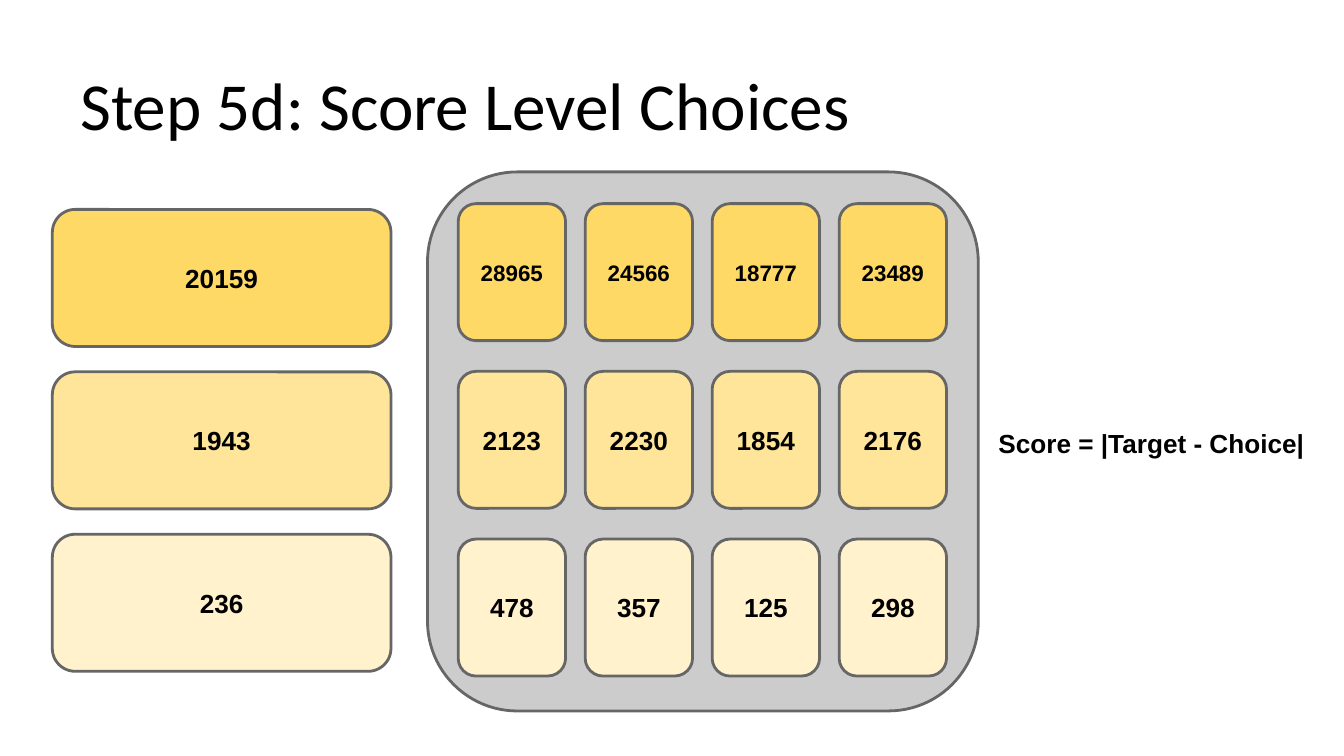
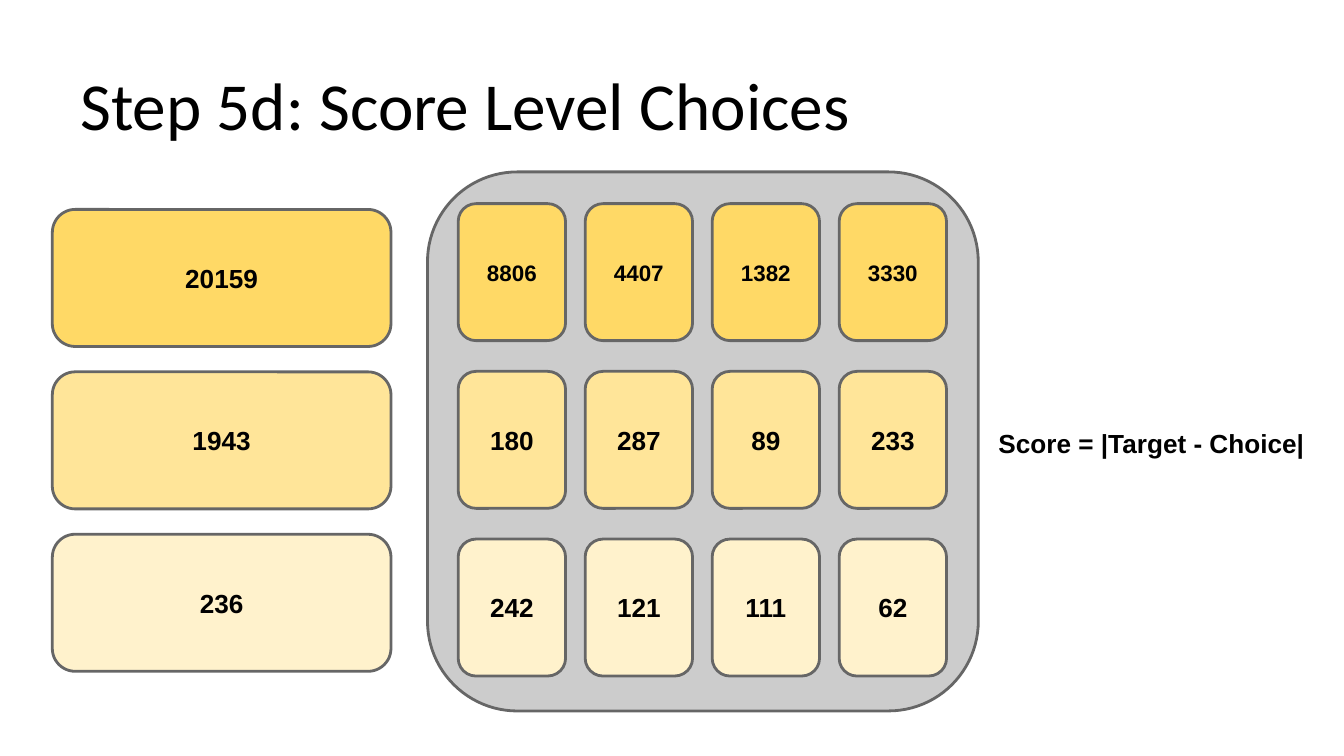
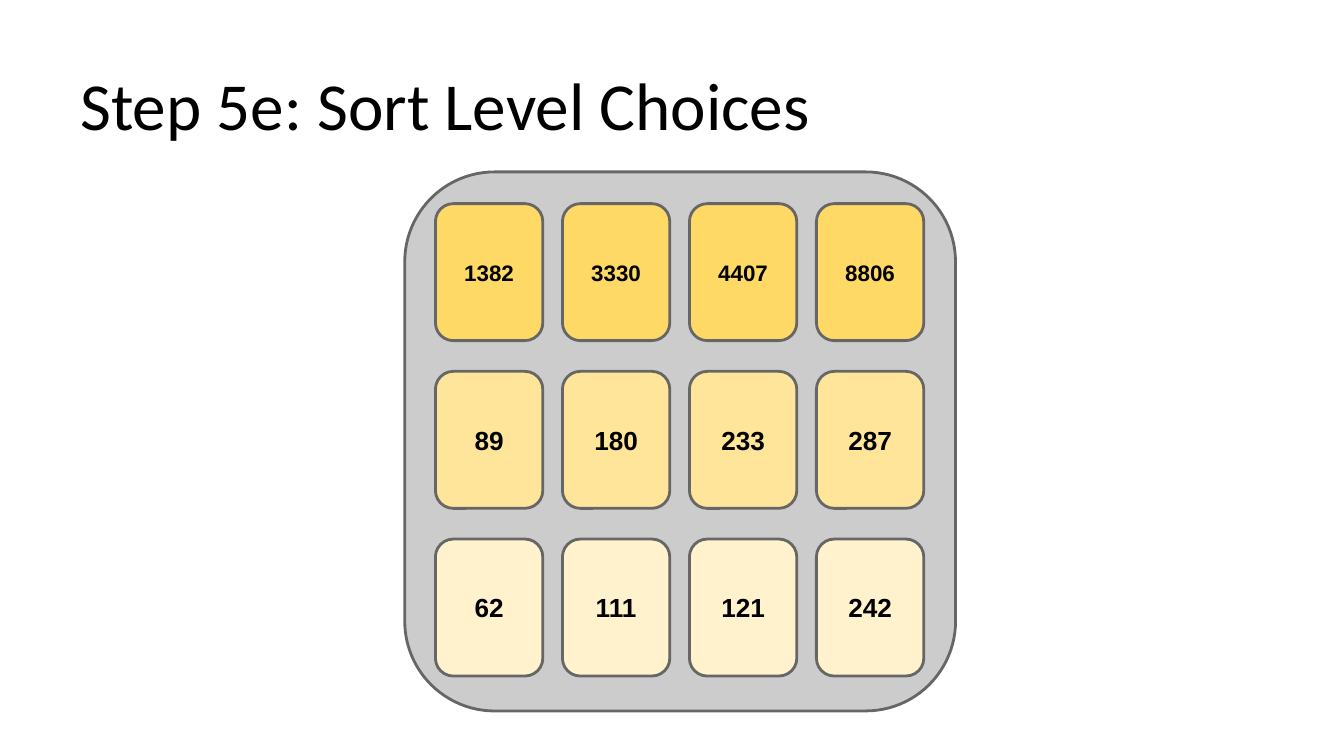
from pptx import Presentation
from pptx.dml.color import RGBColor
from pptx.enum.shapes import MSO_SHAPE as Shape
from pptx.enum.text import MSO_ANCHOR as Anchor, PP_ALIGN as Align
from pptx.util import Cm, Pt

BLACK, OUTLINE, PANEL_GREY = "000000", "666666", "CCCCCC"
LEVEL_COLOURS = ["FFD966", "FFE599", "FFF2CC"]
CHOICE_SIZES = [12, 14, 14]

TARGETS = [20159, 1943, 236]
CHOICES = [
    [28965, 24566, 18777, 23489],
    [2123, 2230, 1854, 2176],
    [478, 357, 125, 298],
]

# Lengths in centimetres
INSET = 0.25
PANEL_TOP, PANEL_WIDTH, PANEL_HEIGHT = 3.25, 10.41, 10.19
PANEL_BESIDE_TARGETS, PANEL_ALONE = 8.08, 7.65
LEVEL_HEIGHT = 2.59
CHOICE_WIDTH, CHOICE_INDENT, CHOICE_TOP = 2.03, 0.58, 3.85
CHOICE_STEP_X, CHOICE_STEP_Y = 2.4, 3.17
TARGET_LEFT, TARGET_TOP, TARGET_WIDTH, TARGET_STEP = 0.99, 3.96, 6.4, 3.07


def colour(hex_string):
    return RGBColor.from_string(hex_string)


def write(shape, text, size, font="Arial", bold=True, align=Align.LEFT, anchor=Anchor.TOP):
    frame = shape.text_frame
    frame.word_wrap = True
    frame.vertical_anchor = anchor
    frame.margin_left = frame.margin_right = Cm(INSET)
    frame.margin_top = frame.margin_bottom = Cm(INSET)
    paragraph = frame.paragraphs[0]
    paragraph.text = text
    paragraph.alignment = align
    paragraph.font.name = font
    paragraph.font.size = Pt(size)
    paragraph.font.bold = bold
    paragraph.font.color.rgb = colour(BLACK)


def add_label(slide, text, left, top, width, height, size, **style):
    box = slide.shapes.add_textbox(Cm(left), Cm(top), Cm(width), Cm(height))
    write(box, text, size, **style)


def add_rounded_box(slide, left, top, width, height, fill):
    box = slide.shapes.add_shape(
        Shape.ROUNDED_RECTANGLE, Cm(left), Cm(top), Cm(width), Cm(height))
    box.shadow.inherit = False
    box.fill.solid()
    box.fill.fore_color.rgb = colour(fill)
    box.line.color.rgb = colour(OUTLINE)
    box.line.width = Pt(1.5)
    return box


def add_value(slide, value, left, top, width, fill, size):
    """Add a rounded box with one number in its middle."""
    box = add_rounded_box(slide, left, top, width, LEVEL_HEIGHT, fill)
    write(box, str(value), size, align=Align.CENTER, anchor=Anchor.MIDDLE)


def add_choice_panel(slide, levels, left):
    """Add the grey panel with one row of values for each level."""
    add_rounded_box(slide, left, PANEL_TOP, PANEL_WIDTH, PANEL_HEIGHT, PANEL_GREY)
    for row, (values, fill, size) in enumerate(zip(levels, LEVEL_COLOURS, CHOICE_SIZES)):
        for column, value in enumerate(values):
            add_value(slide, value,
                      left + CHOICE_INDENT + column * CHOICE_STEP_X,
                      CHOICE_TOP + row * CHOICE_STEP_Y,
                      CHOICE_WIDTH, fill, size)


def add_targets(slide):
    for row, (target, fill) in enumerate(zip(TARGETS, LEVEL_COLOURS)):
        add_value(slide, target, TARGET_LEFT, TARGET_TOP + row * TARGET_STEP,
                  TARGET_WIDTH, fill, 14)


def add_step_slide(deck, title):
    slide = deck.slides.add_slide(deck.slide_layouts[6])
    add_label(slide, title, 1.27, 0.58, 22.86, 2.39, 36,
              font="Calibri", bold=False, anchor=Anchor.BOTTOM)
    return slide


def add_scoring_slide(deck, levels):
    slide = add_step_slide(deck, "Step 5d: Score Level Choices")
    add_choice_panel(slide, levels, PANEL_BESIDE_TARGETS)
    add_targets(slide)
    add_label(slide, "Score = |Target - Choice|", 18.62, 7.82, 6.73, 1, 14)


def add_sorting_slide(deck, scores):
    slide = add_step_slide(deck, "Step 5e: Sort Level Choices")
    add_choice_panel(slide, [sorted(level) for level in scores], PANEL_ALONE)


def main():
    deck = Presentation()
    deck.slide_width, deck.slide_height = Cm(25.4), Cm(14.29)
    scores = [[abs(target - choice) for choice in level]
              for target, level in zip(TARGETS, CHOICES)]
    add_scoring_slide(deck, CHOICES)
    add_scoring_slide(deck, scores)
    add_sorting_slide(deck, scores)
    deck.save("out.pptx")


if __name__ == "__main__":
    main()
